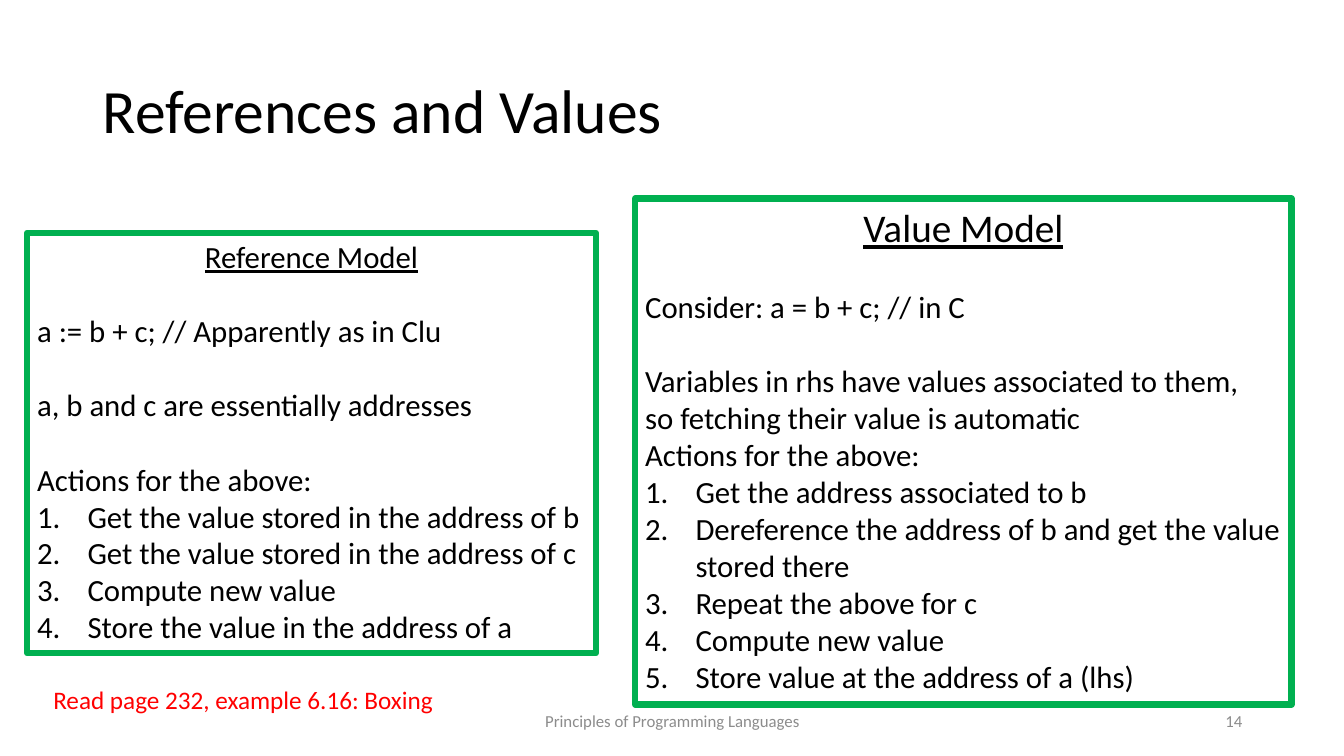
import pptx
import pptx.util
import pptx.dml.color
import pptx.enum.text
from lxml import etree

Inches, Pt = pptx.util.Inches, pptx.util.Pt
ALIGN = pptx.enum.text.PP_ALIGN
ANCHOR = pptx.enum.text.MSO_ANCHOR
AUTO = pptx.enum.text.MSO_AUTO_SIZE

COLORS = {"ink": "000000", "muted": "8C8C8C", "note": "FF0000", "border": "00B050"}
FONT = "Calibri"
BODY_SIZE = 22
BLANK_LINE = 26.6
INDENT = 0.5

LABELS = [
    ("References and Values", (0.92, 0.4, 11.5, 1.45), 44, "ink", ALIGN.LEFT, True),
    ("Principles of Programming Languages", (4.42, 6.95, 4.5, 0.4), 12, "muted", ALIGN.CENTER, True),
    ("14", (9.42, 6.95, 3, 0.4), 12, "muted", ALIGN.RIGHT, True),
    ("Read page 232, example 6.16: Boxing", (0.43, 6.74, 4.01, 0.4), 18, "note", ALIGN.LEFT, False),
]

MODELS = [
    {
        "heading": "Reference Model", "size": 22, "wrap": False,
        "at": (0.27, 2.31, 5.64, 4.17),
        "blocks": [
            ["a := b + c; // Apparently as in Clu"],
            ["a, b and c are essentially addresses"],
            ["Actions for the above:"],
        ],
        "steps": [
            "Get the value stored in the address of b",
            "Get the value stored in the address of c",
            "Compute new value",
            "Store the value in the address of a",
        ],
    },
    {
        "heading": "Value Model", "size": 28, "wrap": True,
        "at": (6.3, 1.97, 6.51, 5.02),
        "blocks": [
            ["Consider: a = b + c; // in C"],
            ["Variables in rhs have values associated to them,",
             "so fetching their value is automatic",
             "Actions for the above:"],
        ],
        "steps": [
            "Get the address associated to b",
            "Dereference the address of b and get the value stored there",
            "Repeat the above for c",
            "Compute new value",
            "Store value at the address of a (lhs)",
        ],
    },
]


def rgb(name):
    return pptx.dml.color.RGBColor.from_string(COLORS[name])


def add_box(s, at, wrap):
    sp = s.shapes.add_textbox(*(Inches(v) for v in at))
    sp.text_frame.word_wrap = wrap
    return sp


def write(p, text, size, color="ink", align=ALIGN.LEFT):
    p.text = text
    p.alignment = align
    p.font.name = FONT
    p.font.size = Pt(size)
    p.font.color.rgb = rgb(color)


def number(p):
    pPr = p._p.get_or_add_pPr()
    pPr.set("marL", str(Inches(INDENT)))
    pPr.set("indent", str(-Inches(INDENT)))
    bullet = etree.Element(pptx.oxml.ns.qn("a:buAutoNum"), type="arabicPeriod")
    pPr.insert_element_before(bullet, "a:tabLst", "a:defRPr", "a:extLst")


def add_label(s, text, at, size, color, align, centred):
    tf = add_box(s, at, centred).text_frame
    if centred:
        tf.vertical_anchor = ANCHOR.MIDDLE
    else:
        tf.auto_size = AUTO.SHAPE_TO_FIT_TEXT
    write(tf.paragraphs[0], text, size, color, align)
    if size == 44:
        tf.paragraphs[0].line_spacing = 0.9


def add_model(s, model):
    sp = add_box(s, model["at"], model["wrap"])
    sp.line.color.rgb = rgb("border")
    sp.line.width = Pt(4.5)
    tf = sp.text_frame
    tf.auto_size = AUTO.SHAPE_TO_FIT_TEXT
    heading = tf.paragraphs[0]
    write(heading, model["heading"], model["size"], align=ALIGN.CENTER)
    heading.font.underline = True
    for block in model["blocks"]:
        for i, line in enumerate(block):
            p = tf.add_paragraph()
            write(p, line, BODY_SIZE)
            if i == 0:
                p.space_before = Pt(BLANK_LINE)
    for step in model["steps"]:
        p = tf.add_paragraph()
        write(p, step, BODY_SIZE)
        number(p)


def main():
    prs = pptx.Presentation()
    prs.slide_width, prs.slide_height = Inches(13.33), Inches(7.5)
    s = prs.slides.add_slide(prs.slide_layouts[6])
    for label in LABELS:
        add_label(s, *label)
    for model in MODELS:
        add_model(s, model)
    prs.save("out.pptx")


if __name__ == "__main__":
    main()
